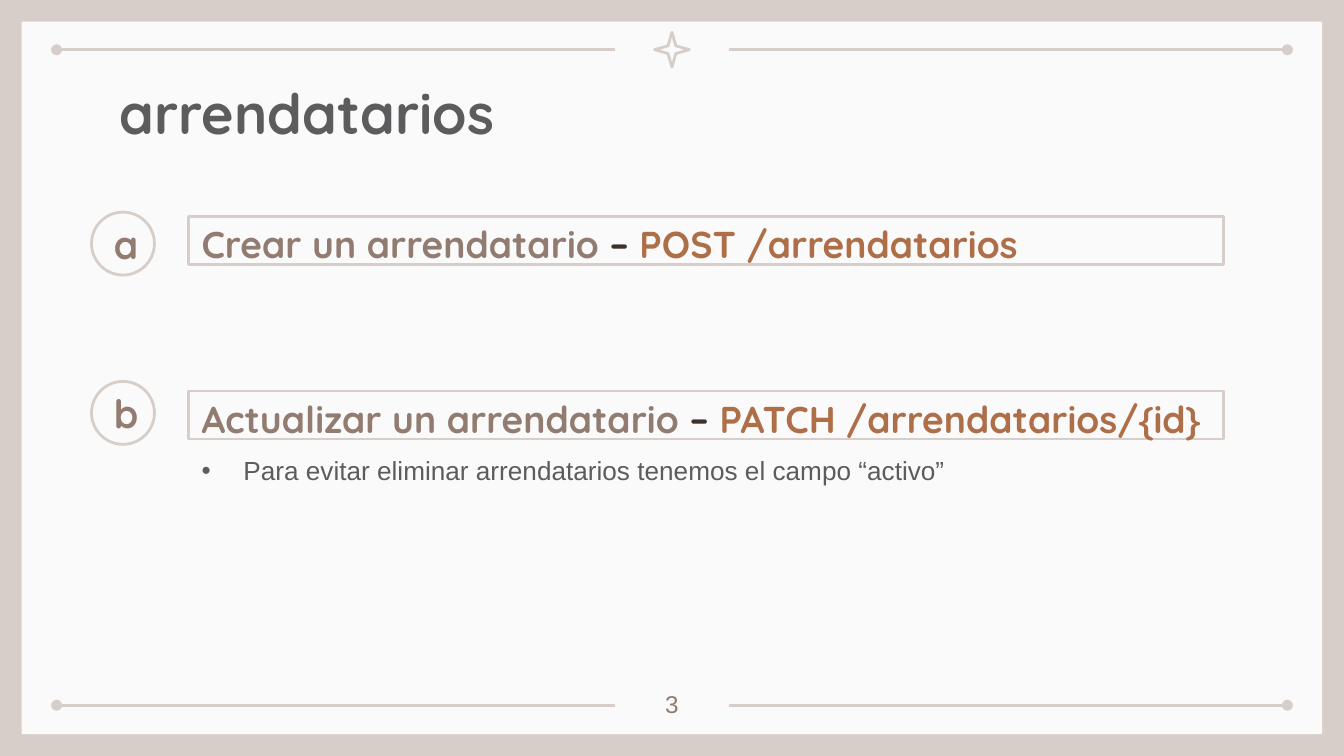
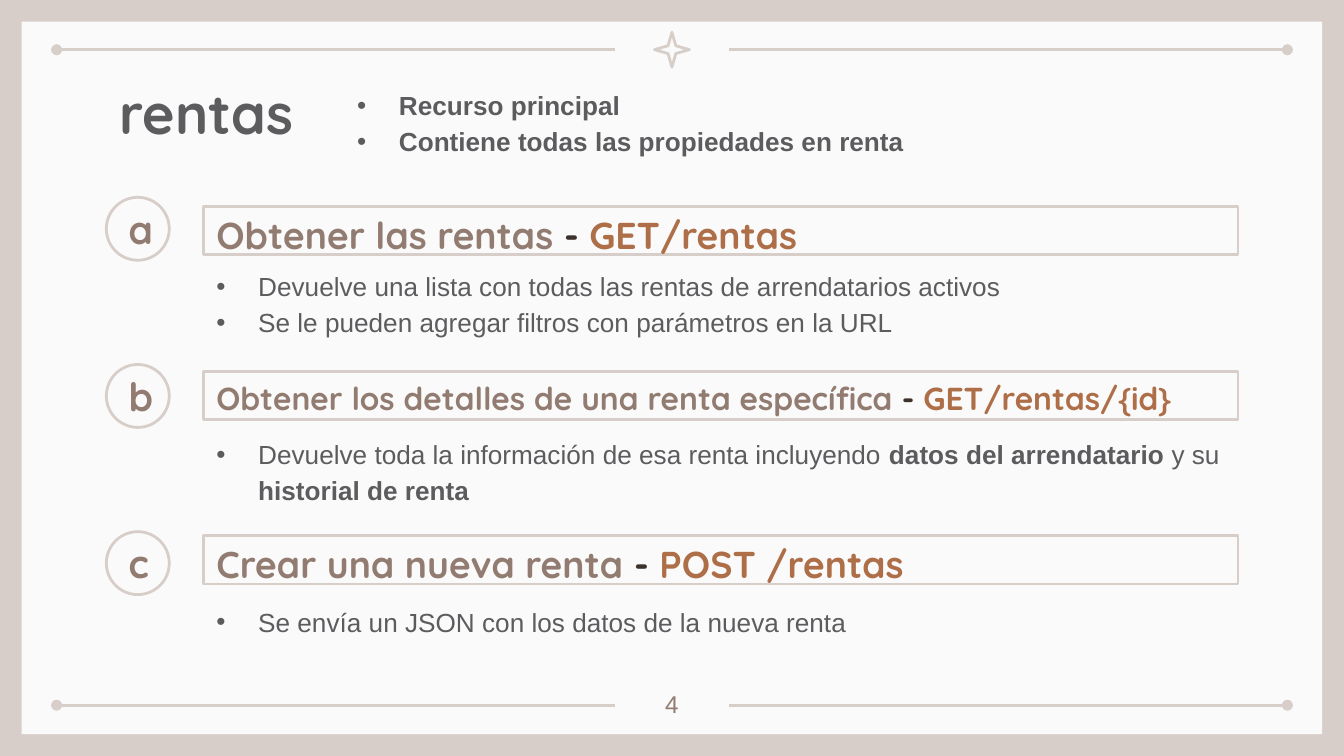
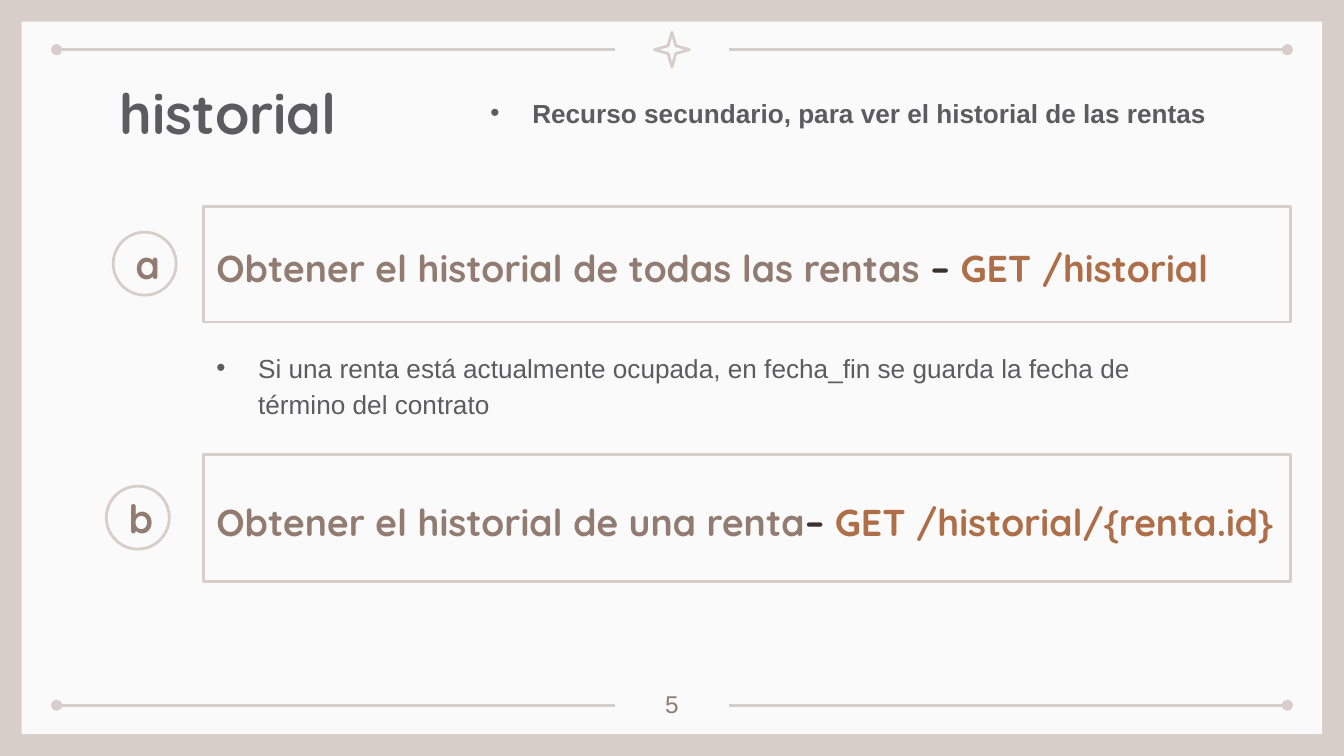
from lxml.etree import SubElement
from pptx import Presentation
from pptx.dml.color import RGBColor
from pptx.enum.shapes import MSO_CONNECTOR, MSO_SHAPE
from pptx.enum.text import MSO_ANCHOR as ANCHOR, PP_ALIGN as ALIGN
from pptx.oxml.ns import qn
from pptx.util import Cm, Pt

COLORS = {
    "sand": "D8CEC9",
    "paper": "FAFAFA",
    "gray": "5C5C5F",
    "taupe": "927C71",
    "dark": "3D312C",
    "rust": "AD6E48",
}
HEAD, BODY = "Quicksand", "Arial"
INSET = 0.25
BADGE = 1.19
BADGE_GAP = 1.83  # from badge left to bar left
BAR_H = 0.91
NOTE_W = 19.56


def rgb(name):
    return RGBColor.from_string(COLORS[name])


# Text helpers
def prepare(sp, anchor=ANCHOR.TOP):
    tf = sp.text_frame
    tf.word_wrap = True
    tf.vertical_anchor = anchor
    tf.margin_left = tf.margin_right = Cm(INSET)
    tf.margin_top = tf.margin_bottom = Cm(INSET)
    return tf


def add_run(p, text, size, color, font=HEAD, bold=True):
    r = p.add_run()
    r.text = text
    r.font.name = font
    r.font.size = Pt(size)
    r.font.bold = bold
    r.font.color.rgb = rgb(color)


def add_text(s, box, text, size, color, font=HEAD, bold=True, align=ALIGN.LEFT):
    tf = prepare(s.shapes.add_textbox(*map(Cm, box)))
    p = tf.paragraphs[0]
    p.alignment = align
    add_run(p, text, size, color, font, bold)


def add_bullets(s, box, items):
    """Each item is a list of (text, bold) runs."""
    tf = prepare(s.shapes.add_textbox(*map(Cm, box)))
    for i, runs in enumerate(items):
        p = tf.add_paragraph() if i else tf.paragraphs[0]
        p.line_spacing = 1.15
        pPr = p._p.get_or_add_pPr()
        pPr.set("marL", str(Cm(0.79)))
        pPr.set("indent", str(-Cm(0.79)))
        clr = SubElement(pPr, qn("a:buClr"))
        SubElement(clr, qn("a:srgbClr"), val=COLORS["gray"])
        SubElement(pPr, qn("a:buFont"), typeface=BODY)
        SubElement(pPr, qn("a:buChar"), char="•")
        for text, bold in runs:
            add_run(p, text, 14, "gray", BODY, bold)


# Shape helpers
def add_outline(s, kind, box):
    sp = s.shapes.add_shape(kind, *map(Cm, box))
    sp.shadow.inherit = False
    sp.fill.background()
    sp.line.color.rgb = rgb("sand")
    sp.line.width = Pt(1.5)
    return sp


def add_rule(s, x1, x2, y, dot_end):
    c = s.shapes.add_connector(MSO_CONNECTOR.STRAIGHT, Cm(x1), Cm(y), Cm(x2), Cm(y))
    c.line.color.rgb = rgb("sand")
    c.line.width = Pt(1.5)
    SubElement(c.line._get_or_add_ln(), qn(dot_end), type="oval")
    SubElement(c._element.spPr, qn("a:effectLst"))


# Shared frame, title and page number
def add_base(prs, title, number):
    s = prs.slides.add_slide(prs.slide_layouts[6])
    s.background.fill.solid()
    s.background.fill.fore_color.rgb = rgb("sand")
    paper = add_outline(s, MSO_SHAPE.RECTANGLE, (0.41, 0.41, 24.58, 13.47))
    paper.fill.solid()
    paper.fill.fore_color.rgb = rgb("paper")
    paper.line.fill.background()
    for y in (0.94, 13.33):
        add_rule(s, 1.07, 11.63, y, "a:headEnd")
        add_rule(s, 13.77, 24.33, y, "a:tailEnd")
    star = add_outline(s, MSO_SHAPE.STAR_4_POINT, (12.37, 0.61, 0.66, 0.66))
    star.adjustments[0] = 0.157
    add_text(s, (2.01, 1.24, 21.41, 1.6), title, 30, "gray")
    add_text(s, (11.94, 12.78, 1.52, 0.91), str(number), 13, "taupe",
             BODY, False, ALIGN.CENTER)
    return s


# Lettered badge beside an outlined bar with an endpoint
def add_endpoint(s, box, letter, badge_top, label, dash, route, size=20, shift=0):
    badge = add_outline(s, MSO_SHAPE.OVAL,
                        (box[0] - BADGE_GAP + shift, badge_top, BADGE, BADGE))
    p = prepare(badge, ANCHOR.MIDDLE).paragraphs[0]
    p.alignment = ALIGN.CENTER
    add_run(p, letter, 21, "taupe")

    bar = add_outline(s, MSO_SHAPE.RECTANGLE, box)
    p = prepare(bar, ANCHOR.MIDDLE).paragraphs[0]
    p.alignment = ALIGN.LEFT
    p.line_spacing = 1.15
    for text, color in ((label, "taupe"), (dash, "dark"), (route, "rust")):
        add_run(p, text, size, color)


def tenants_slide(prs):
    s = add_base(prs, "arrendatarios", 3)
    x = 3.56
    add_endpoint(s, (x, 4.09, NOTE_W, BAR_H), "a", 4.01,
                 "Crear un arrendatario ", "– ", "POST /arrendatarios")
    add_endpoint(s, (x, 7.39, NOTE_W, BAR_H), "b", 7.21,
                 "Actualizar un arrendatario ", "– ", "PATCH /arrendatarios/{id}")
    add_bullets(s, (x, 8.26, NOTE_W, 1.47), [
        [("Para evitar eliminar arrendatarios tenemos el campo “activo”", False)]])


def rentals_slide(prs):
    s = add_base(prs, "rentas", 4)
    add_bullets(s, (6.5, 1.35, 13.21, 1.91), [
        [("Recurso principal", True)],
        [("Contiene todas las propiedades en renta", True)]])
    x = 3.84
    rows = [
        ("a", "Obtener las rentas ", "GET/rentas", 20, [
            [("Devuelve una lista con todas las rentas de arrendatarios activos", False)],
            [("Se le pueden agregar filtros con parámetros en la URL", False)]]),
        ("b", "Obtener los detalles de una renta específica ", "GET/rentas/{id}", 17, [
            [("Devuelve toda la información de esa renta incluyendo ", False),
             ("datos del arrendatario ", True), ("y su ", False),
             ("historial de renta", True)]]),
        ("c", "Crear una nueva renta ", "POST /rentas", 20, [
            [("Se envía un JSON con los datos de la nueva renta", False)]]),
    ]
    for i, (letter, label, route, size, notes) in enumerate(rows):
        add_endpoint(s, (x, 3.91 + 3.11 * i, NOTE_W, BAR_H), letter, 3.73 + 3.16 * i,
                     label, "- ", route, size)
        add_bullets(s, (x, 4.78 + 3.17 * i, NOTE_W, 1.47), notes)


def history_slide(prs):
    s = add_base(prs, "historial", 5)
    add_bullets(s, (9.02, 1.5, 14.38, 1.24), [
        [("Recurso secundario, para ver el historial de las rentas", True)]])
    x, bar_w = 3.84, 20.55
    add_endpoint(s, (x, 3.91, bar_w, 2.18), "a", 4.39,
                 "Obtener el historial de todas las rentas ", "– ", "GET /historial",
                 shift=0.13)
    add_bullets(s, (x, 6.32, NOTE_W, 2.03), [
        [("Si una renta está actualmente ocupada, en fecha_fin se guarda "
          "la fecha de término del contrato", False)]])
    add_endpoint(s, (x, 8.59, bar_w, 2.41), "b", 9.19,
                 "Obtener el historial de una renta", "– ", "GET /historial/{renta.id}")


def main():
    prs = Presentation()
    prs.slide_width, prs.slide_height = Cm(25.4), Cm(14.29)
    tenants_slide(prs)
    rentals_slide(prs)
    history_slide(prs)
    prs.save("out.pptx")


if __name__ == "__main__":
    main()
